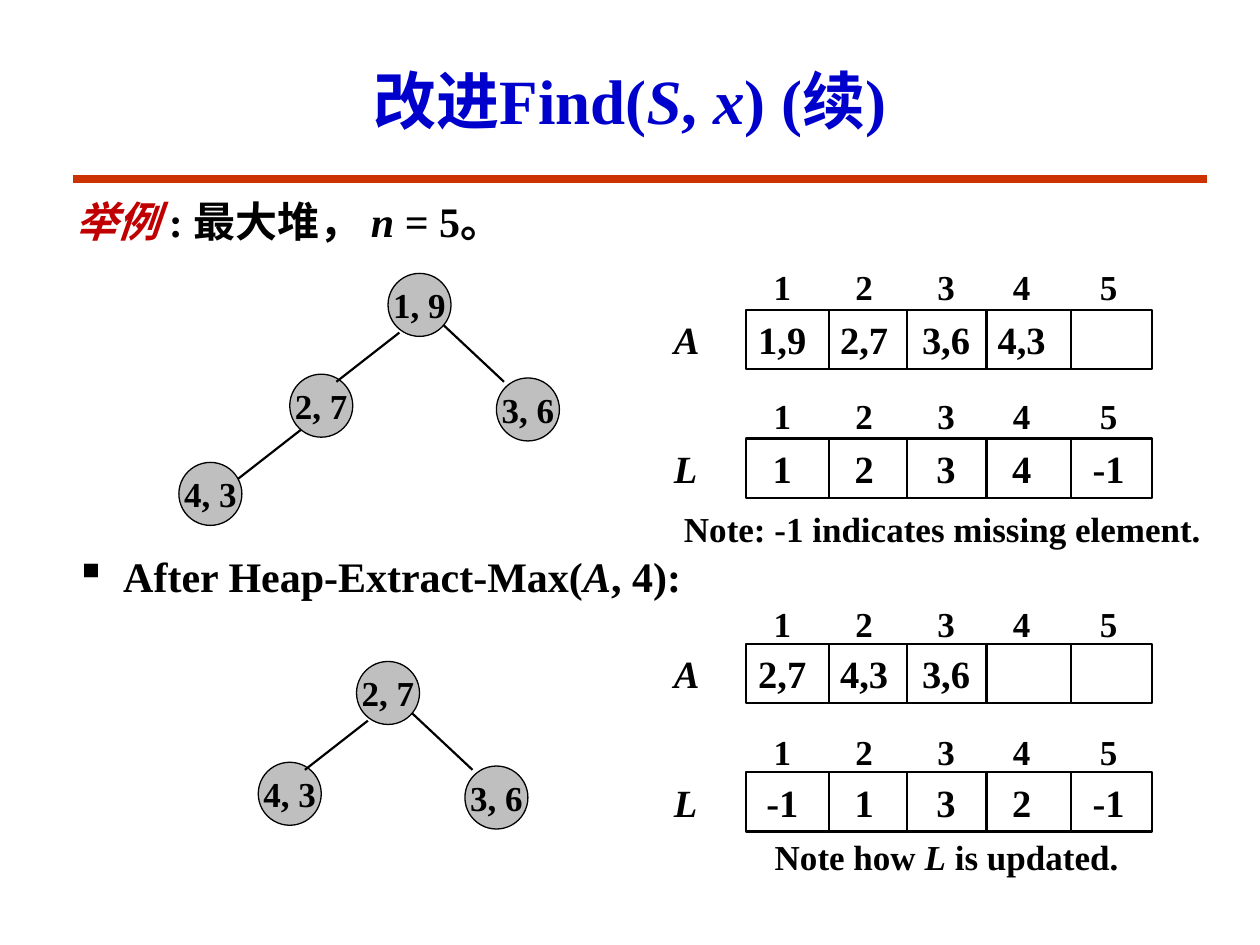
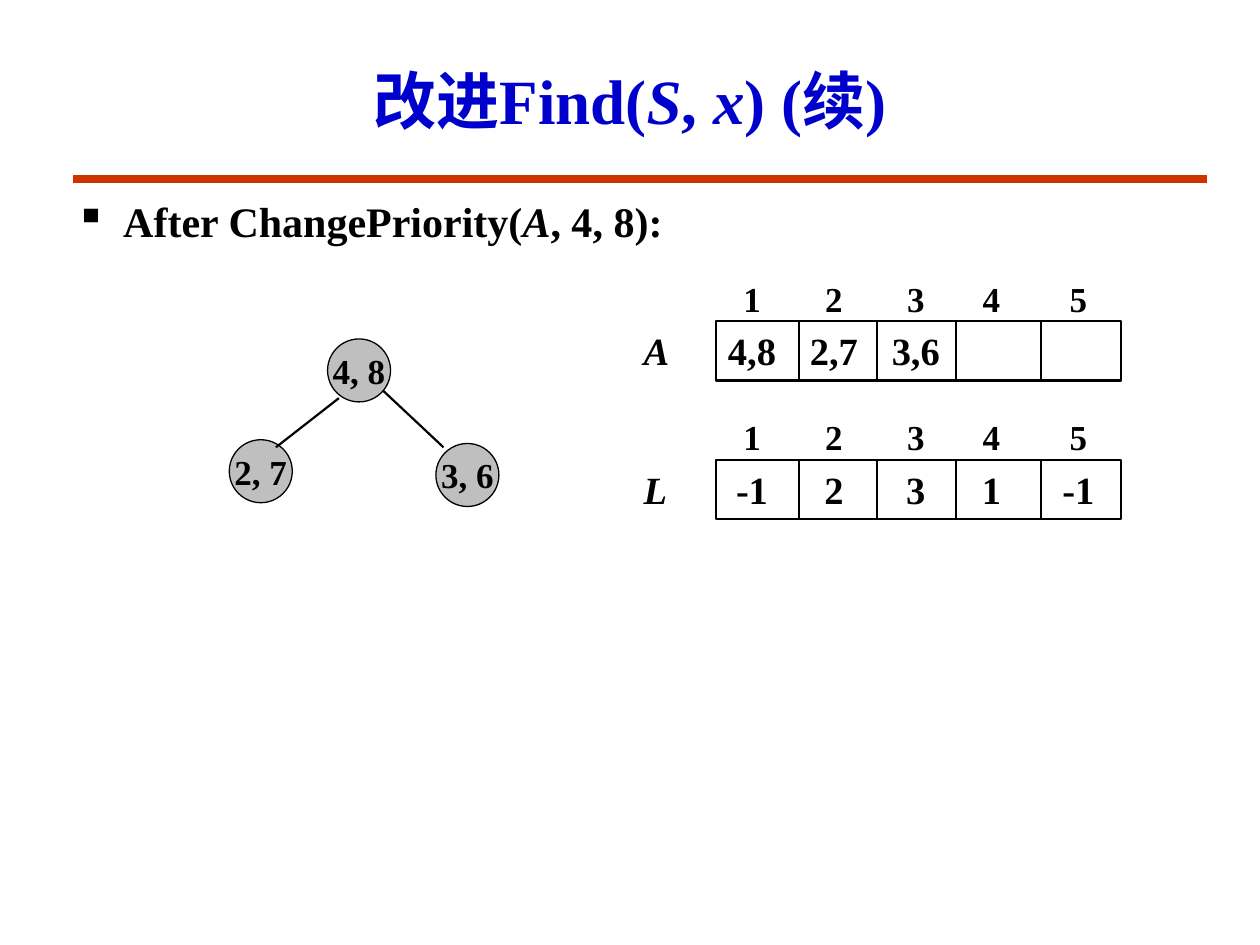
from lxml.etree import SubElement
from pptx import Presentation
from pptx.dml.color import RGBColor
from pptx.enum.shapes import MSO_CONNECTOR as Connector, MSO_SHAPE as Shape
from pptx.enum.text import MSO_ANCHOR as Anchor, PP_ALIGN as Align
from pptx.oxml.ns import qn
from pptx.util import Inches, Pt

COLORS = {
    "title": "0000CC",
    "rule": "CC3300",
    "accent": "C00000",
    "ink": "000000",
    "node": "BFBFBF",
}
FONT = "Times New Roman"
TITLE = "改进Find(*S*, *x*) (续)"

# Heap node and edge geometry, measured from the parent node's corner
NODE_SIZE = 0.5
LEFT_CHILD, RIGHT_CHILD, LEFT_GRANDCHILD = (-0.78, 0.8), (0.86, 0.83), (-1.66, 1.5)
LEFT_EDGE = (0.09, 0.47, -0.41, 0.86)
RIGHT_EDGE = (0.44, 0.41, 0.92, 0.86)

# Array geometry, measured from the frame's corner
ARRAY_WIDTH, ARRAY_HEIGHT = 3.22, 0.47
DIVIDERS = (0.66, 1.28, 1.91, 2.58)
VALUE_CENTERS = (0.29, 0.94, 1.59, 2.19, 2.88)
NAME_WIDTH = 0.67
INSET = 0.1


def rgb(name):
    return RGBColor.from_string(COLORS[name])


def write(paragraph, text, *, size=20, color="ink", italic=False):
    """Append bold text; parts between asterisks switch to italics."""
    for index, part in enumerate(text.split("*")):
        if part:
            run = paragraph.add_run()
            run.text = part
            font = run.font
            font.name, font.size, font.bold = FONT, Pt(size), True
            font.italic = italic or index % 2 == 1
            font.color.rgb = rgb(color)


def set_bullet(paragraph):
    properties = paragraph._p.get_or_add_pPr()
    properties.set("marL", str(Inches(0.38)))
    properties.set("indent", str(-Inches(0.38)))
    SubElement(properties, qn("a:buChar"), char="▪")


def set_center_tabs(paragraph, positions):
    tabs = SubElement(paragraph._p.get_or_add_pPr(), qn("a:tabLst"))
    for position in positions:
        SubElement(tabs, qn("a:tab"), pos=str(Inches(position)), algn="ctr")


class HeapDeck:
    def __init__(self):
        self.presentation = Presentation()
        self.presentation.slide_width = Inches(10)
        self.presentation.slide_height = Inches(7.5)
        self.slide = None

    def new_slide(self):
        layout = self.presentation.slide_layouts[6]
        self.slide = self.presentation.slides.add_slide(layout)
        self.line(0.58, 1.42, 9.58, 1.42, color="rule", width=4.5)
        frame = self.text_frame(0.75, 0.25, 8.5, 1.08)
        frame.vertical_anchor = Anchor.MIDDLE
        frame.paragraphs[0].alignment = Align.CENTER
        write(frame.paragraphs[0], TITLE, size=36, color="title")

    def line(self, x1, y1, x2, y2, color="ink", width=1.25):
        connector = self.slide.shapes.add_connector(
            Connector.STRAIGHT, Inches(x1), Inches(y1), Inches(x2), Inches(y2))
        connector.line.color.rgb = rgb(color)
        connector.line.width = Pt(width)
        SubElement(connector._element.spPr, qn("a:effectLst"))

    def shape(self, kind, x, y, width, height, fill=None, line_width=1.25):
        shape = self.slide.shapes.add_shape(
            kind, Inches(x), Inches(y), Inches(width), Inches(height))
        shape.shadow.inherit = False
        if fill:
            shape.fill.solid()
            shape.fill.fore_color.rgb = rgb(fill)
        else:
            shape.fill.background()
        shape.line.color.rgb = rgb("ink")
        shape.line.width = Pt(line_width)
        return shape

    def text_frame(self, x, y, width, height, wrap=True):
        box = self.slide.shapes.add_textbox(
            Inches(x), Inches(y), Inches(width), Inches(height))
        box.text_frame.word_wrap = wrap
        return box.text_frame

    def body(self):
        return self.text_frame(0.5, 1.5, 9.17, 5.74)

    def bullet(self, paragraph, text, space_before=6):
        paragraph.space_before = Pt(space_before)
        set_bullet(paragraph)
        write(paragraph, text, size=24)

    def note(self, x, y, width, text):
        frame = self.text_frame(x, y, width, 0.44, wrap=False)
        write(frame.paragraphs[0], text)

    def node(self, x, y, label):
        circle = self.shape(Shape.OVAL, x, y, NODE_SIZE, NODE_SIZE, "node", 0.75)
        frame = circle.text_frame
        frame.margin_left = frame.margin_right = 0
        frame.margin_top = frame.margin_bottom = 0
        frame.word_wrap = False
        frame.vertical_anchor = Anchor.MIDDLE
        frame.paragraphs[0].alignment = Align.CENTER
        write(frame.paragraphs[0], label)

    def edge(self, x, y, offsets):
        x1, y1, x2, y2 = offsets
        self.line(x + x1, y + y1, x + x2, y + y2)

    def heap(self, x, y, *labels):
        """Draw a heap of three or four nodes, in level order."""
        places = ((0, 0), LEFT_CHILD, RIGHT_CHILD, LEFT_GRANDCHILD)
        for (dx, dy), label in zip(places, labels):
            self.node(x + dx, y + dy, label)
        self.edge(x, y, LEFT_EDGE)
        self.edge(x, y, RIGHT_EDGE)
        if len(labels) > 3:
            dx, dy = LEFT_CHILD
            self.edge(x + dx, y + dy - 0.03, LEFT_EDGE)

    def tabbed_row(self, x, y, width, height, values, shift, name="", size=20):
        paragraph = self.text_frame(x, y, width, height).paragraphs[0]
        set_center_tabs(paragraph, [center + shift for center in VALUE_CENTERS])
        write(paragraph, name, size=size, italic=True)
        write(paragraph, "".join("\t" + value for value in values), size=size)

    def array(self, x, y, name, values, index_gap=0.4):
        self.tabbed_row(x - NAME_WIDTH, y, ARRAY_WIDTH + NAME_WIDTH, ARRAY_HEIGHT,
                        values, NAME_WIDTH - INSET, name, size=22)
        self.shape(Shape.RECTANGLE, x, y, ARRAY_WIDTH, ARRAY_HEIGHT)
        for offset in DIVIDERS:
            self.line(x + offset, y, x + offset, y + ARRAY_HEIGHT)
        self.tabbed_row(x, y - index_gap, ARRAY_WIDTH, 0.44, "12345", -INSET)


def build_extract_max(deck):
    deck.new_slide()
    frame = deck.body()
    example = frame.paragraphs[0]
    example.space_before = Pt(6)
    write(example, "举例 ", size=24, color="accent", italic=True)
    write(example, ": 最大堆， *n* = 5。", size=24)
    deck.bullet(frame.add_paragraph(), "After Heap-Extract-Max(*A*, 4):", 174)

    # Heap before extraction
    deck.heap(3.08, 2.17, "1, 9", "2, 7", "3, 6", "4, 3")
    deck.array(5.92, 2.46, "A", ["1,9", "2,7", "3,6", "4,3"])
    deck.array(5.92, 3.48, "L", ["1", "2", "3", "4", "-1"])

    # Heap after extraction
    deck.heap(2.83, 5.25, "2, 7", "4, 3", "3, 6")
    deck.array(5.92, 5.11, "A", ["2,7", "4,3", "3,6"], index_gap=0.38)
    deck.array(5.92, 6.13, "L", ["-1", "1", "3", "2", "-1"], index_gap=0.38)

    # Notes
    deck.note(5.33, 3.98, 4.33, "Note: -1 indicates missing element.")
    deck.note(6.05, 6.58, 2.95, "Note how *L* is updated.")


def build_change_priority(deck):
    deck.new_slide()
    deck.bullet(deck.body().paragraphs[0], "After ChangePriority(*A*, 4, 8):")
    deck.heap(2.6, 2.69, "4, 8", "2, 7", "3, 6")
    deck.array(5.68, 2.55, "A", ["4,8", "2,7", "3,6"])
    deck.array(5.68, 3.65, "L", ["-1", "2", "3", "1", "-1"])


def main():
    deck = HeapDeck()
    build_extract_max(deck)
    build_change_priority(deck)
    deck.presentation.save("out.pptx")


if __name__ == "__main__":
    main()
